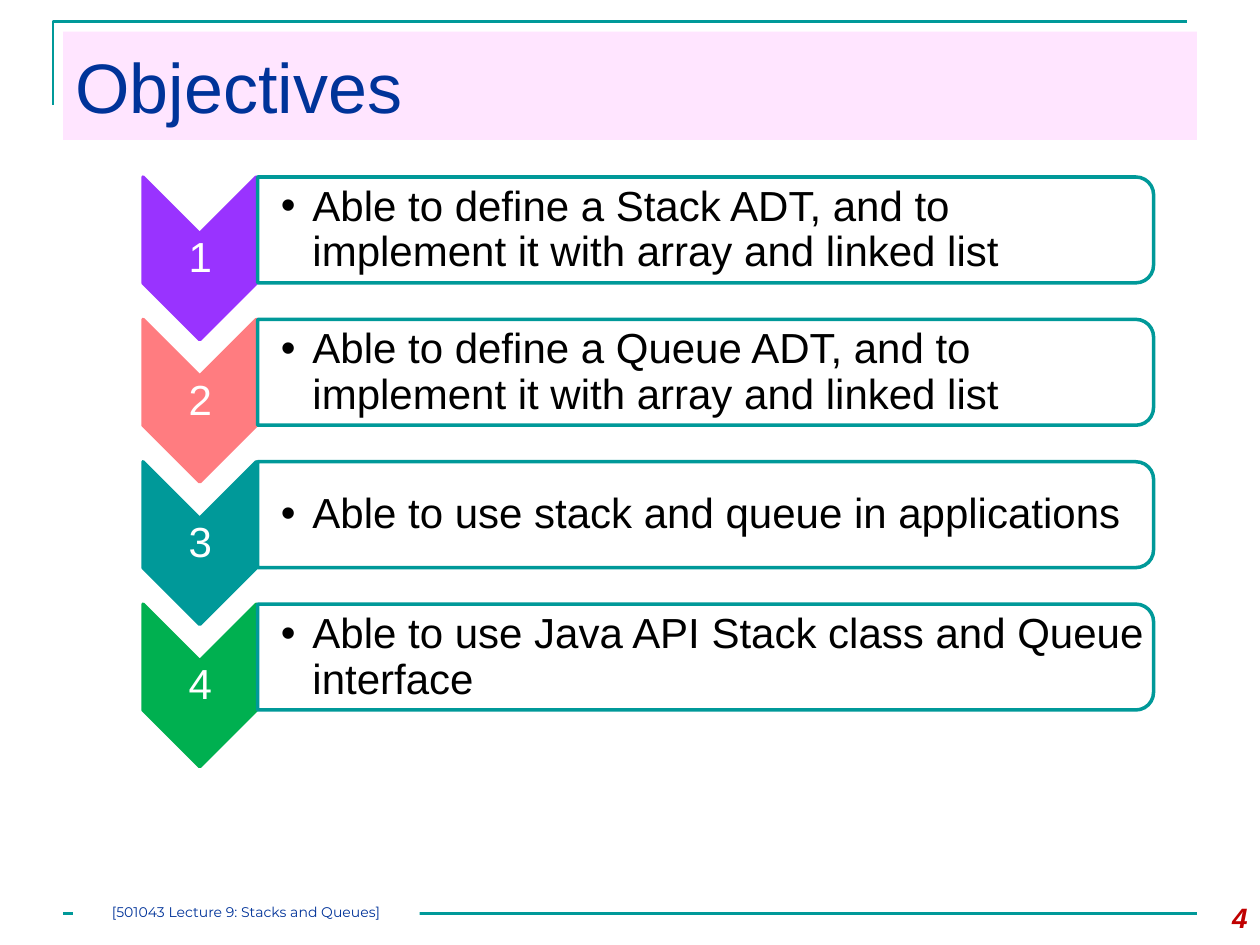
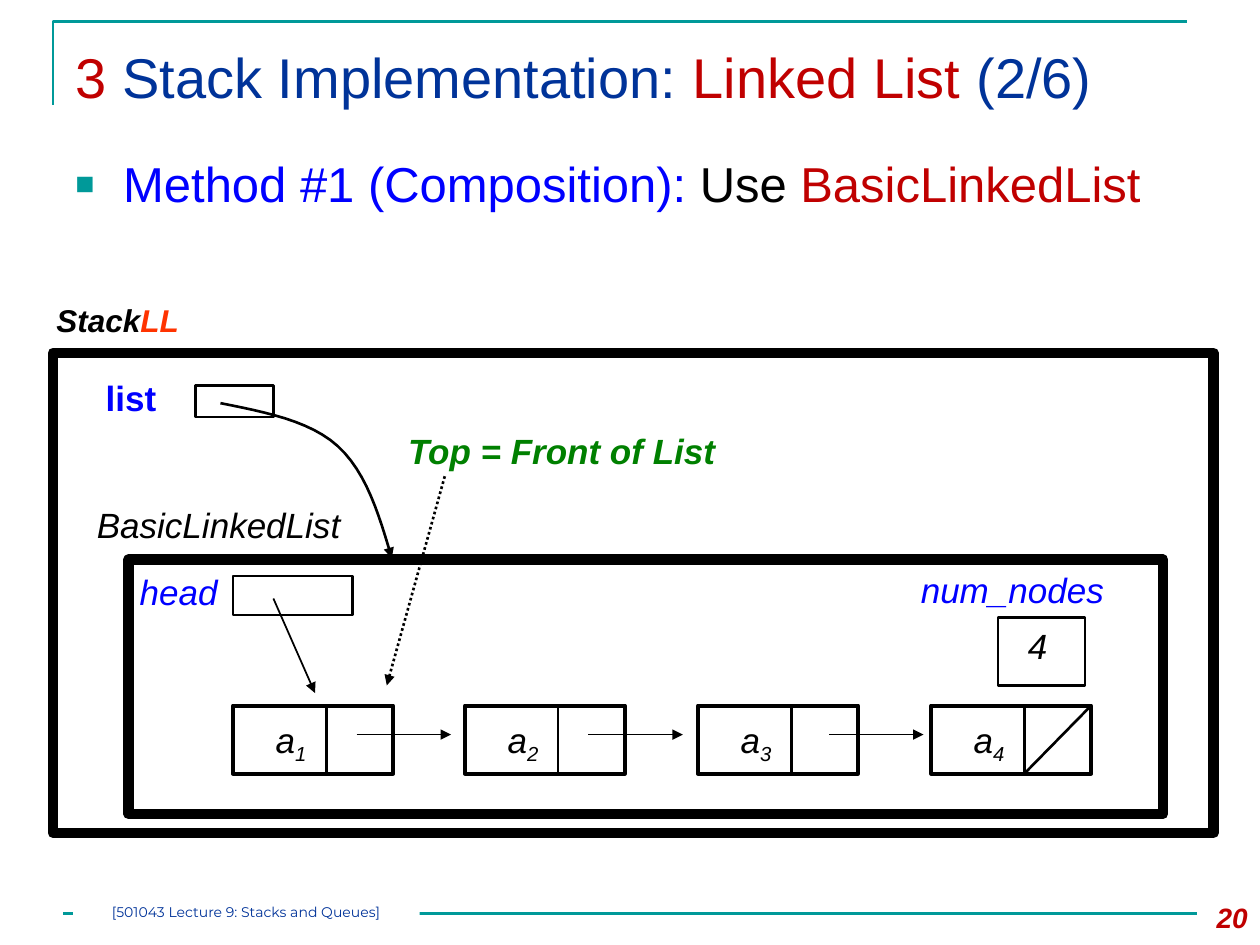
from lxml import etree
from pptx import Presentation, util as u
from pptx.dml.color import RGBColor
from pptx.enum import dml, shapes, text
from pptx.oxml.ns import qn

PX = 9144
FONT = "Arial"
INK = {
    "teal": "009999", "navy": "003399", "red": "C00000", "pink": "FF99FF",
    "white": "FFFFFF", "black": "000000", "blue": "0000FF", "green": "008000",
    "orange": "FF3300", "violet": "9933FF", "coral": "FF7C80", "leaf": "00B050",
}
GOALS = [
    ("violet", "Able to define a Stack ADT, and to implement it with array and linked list"),
    ("coral", "Able to define a Queue ADT, and to implement it with array and linked list"),
    ("teal", "Able to use stack and queue in applications"),
    ("leaf", "Able to use Java API Stack class and Queue interface"),
]
LEFT, MID, RIGHT = text.PP_ALIGN.LEFT, text.PP_ALIGN.CENTER, text.PP_ALIGN.RIGHT


def px(*nums):
    return [round(n * PX) for n in nums]


def hue(name):
    return RGBColor.from_string(INK[name])


def sub(node, tag, **attrs):
    return etree.SubElement(node, qn("a:" + tag), attrs)


def paint(shape, fill=None, line=None, width=1.5):
    shape.shadow.inherit = False
    if fill:
        shape.fill.solid()
        shape.fill.fore_color.rgb = hue(fill)
    else:
        shape.fill.background()
    if line:
        shape.line.color.rgb = hue(line)
        shape.line.width = u.Pt(width)
    else:
        shape.line.fill.background()


def block(slide, box, fill=None, line=None, width=1.5, kind="RECTANGLE", turn=0):
    shape = slide.shapes.add_shape(getattr(shapes.MSO_SHAPE, kind), *px(*box))
    paint(shape, fill, line, width)
    shape.rotation = turn
    return shape


def arrow(shape):
    ln = shape.element.spPr.get_or_add_ln()
    sub(ln, "tailEnd", type="triangle")


def line(slide, ends, color="black", width=1.5, head=False, dots=False):
    link = slide.shapes.add_connector(shapes.MSO_CONNECTOR.STRAIGHT, *px(*ends))
    link.line.color.rgb = hue(color)
    link.line.width = u.Pt(width)
    if dots:
        link.line.dash_style = dml.MSO_LINE.ROUND_DOT
    if head:
        arrow(link)
    sub(link.element.spPr, "effectLst")


def trace(slide, points, color, head=False):
    spots = [px(*point) for point in points]
    pen = slide.shapes.build_freeform(*spots[0], scale=1.0)
    pen.add_line_segments(spots[1:], close=False)
    shape = pen.convert_to_shape()
    paint(shape, None, color)
    if head:
        arrow(shape)


def bezier(a, b, c, d, steps=12):
    for i in range(steps + 1):
        t = i / steps
        s = 1 - t
        yield [s**3 * p + 3 * s * s * t * q + 3 * s * t * t * r + t**3 * v
               for p, q, r, v in zip(a, b, c, d)]


def write(frame, runs, size, align=LEFT, bold=False, slant=False, font=FONT):
    para = frame.paragraphs[0]
    para.alignment = align
    for words, color, *base in runs:
        run = para.add_run()
        run.text = words
        run.font.name = font
        run.font.size = u.Pt(size)
        run.font.bold = bold
        run.font.italic = slant
        run.font.color.rgb = hue(color)
        if base:
            run.font._element.set("baseline", str(base[0] * 1000))
    return para


def inset(frame, left, top, right, bottom):
    frame.margin_left, frame.margin_top, frame.margin_right, frame.margin_bottom = px(
        left, top, right, bottom)


def label(slide, box, runs, size, wrap=True, **style):
    frame = slide.shapes.add_textbox(*px(*box)).text_frame
    frame.word_wrap = wrap
    if not wrap:
        frame.auto_size = text.MSO_AUTO_SIZE.SHAPE_TO_FIT_TEXT
    write(frame, runs, size, **style)
    return frame


def bullet(para, mark, indent, color=None, scale=100):
    props = para._p.get_or_add_pPr()
    props.set("marL", str(indent * PX))
    props.set("indent", str(-indent * PX))
    if color:
        sub(sub(props, "buClr"), "srgbClr", val=INK[color])
    sub(props, "buSzPct", val=str(scale * 1000))
    sub(props, "buFont", typeface=FONT)
    sub(props, "buChar", char=mark)


def page(deck, number, title, size, foot=5):
    slide = deck.slides.add_slide(deck.slide_layouts[5])
    trace(slide, [(42, 83), (42, 17), (942, 17)], "teal")
    line(slide, (50, 725, 950, 725), "teal")
    head = slide.shapes.title
    head.left, head.top, head.width, head.height = px(50, 25, 900, 86)
    frame = head.text_frame
    frame.word_wrap = True
    frame.auto_size = text.MSO_AUTO_SIZE.NONE
    frame.vertical_anchor = text.MSO_ANCHOR.MIDDLE
    inset(frame, 10, 5, 10, foot)
    write(frame, title, size)
    label(slide, (933, 710, 67, 40), [(number, "red")], 16,
          align=RIGHT, bold=True, slant=True)
    strip = block(slide, (58, 717, 275, 17), "white").text_frame
    inset(strip, 0, 0, 0, 0)
    strip.vertical_anchor = text.MSO_ANCHOR.TOP
    write(strip, [("[501043 Lecture 9: Stacks and Queues]", "navy")], 8,
          MID, font="Montserrat")
    return slide


def goal(slide, index, color, words):
    y = 145 + 113 * index
    block(slide, (94, y + 15, 129, 90), color, color, 2, "CHEVRON", 90)
    block(slide, (518, y - 318, 84, 711), "white", "teal", 2,
          "ROUND_2_SAME_RECTANGLE", 90)
    num = label(slide, (114, y + 41, 90, 39), [(str(index + 1), "white")], 24, align=MID)
    body = label(slide, (204, y, 707, 76), [(words, "black")], 24)
    for frame, left in ((num, 2), (body, 19)):
        inset(frame, left, 2, 2, 2)
        frame.vertical_anchor = text.MSO_ANCHOR.MIDDLE
        frame.paragraphs[0].line_spacing = 0.9
    bullet(body.paragraphs[0], "•", 25)


def node(slide, index):
    x = 185 + 554 * index // 3
    block(slide, (x, 560, 127, 54), line="black", width=2.25)
    line(slide, (x + 74, 560, x + 74, 614))
    label(slide, (x + 24, 565, 46, 43), [("a", "black"), (str(index + 1), "black", -25)],
          20, False, slant=True)


def aims(deck):
    slide = page(deck, "4", [("Objectives", "navy")], 40)
    fill = slide.shapes.title.fill
    fill.solid()
    fill.fore_color.rgb = hue("pink")
    tint = slide.shapes.title.element.spPr.find(".//" + qn("a:srgbClr"))
    sub(tint, "alpha", val="25000")
    for index, (color, words) in enumerate(GOALS):
        goal(slide, index, color, words)


def stack(deck):
    slide = page(deck, "20", [("3 ", "red"), ("Stack Implementation: ", "navy"),
                              ("Linked List ", "red"), ("(2/6)", "navy")], 32, foot=20)
    body = label(slide, (50, 117, 900, 75), [("Method #1 (Composition): ", "blue"),
                                             ("Use ", "black"), ("BasicLinkedList", "red")], 28)
    body.paragraphs[0].space_before = u.Pt(3)
    bullet(body.paragraphs[0], "■", 38, "teal", 65)

    for box in ((42, 280, 921, 381), (102, 444, 821, 202)):
        block(slide, box, line="black", width=6)
    for box in ((155, 306, 62, 25), (185, 457, 95, 31), (792, 490, 69, 54)):
        block(slide, box, line="black")

    label(slide, (35, 234, 150, 50), [("Stack", "black"), ("LL", "orange")], 18,
          False, bold=True, slant=True)
    label(slide, (74, 294, 60, 43), [("list", "blue")], 20, False, bold=True)
    label(slide, (314, 336, 266, 44), [("Top = Front of List", "green")], 20,
          False, bold=True, slant=True)
    for box, words, color in (
        ((67, 395, 215, 44), "BasicLinkedList", "black"),
        ((101, 448, 82, 43), "head", "blue"),
        ((721, 446, 180, 44), "num_nodes", "blue"),
        ((806, 491, 39, 44), "4", "black"),
    ):
        label(slide, box, [(words, color)], 20, False, slant=True)

    for index in range(4):
        node(slide, index)
    line(slide, (865, 561, 813, 614))
    for x in (283, 467, 658):
        line(slide, (x, 583, x + 75, 583), width=1, head=True)
    line(slide, (217, 475, 250, 550), width=1, head=True)
    line(slide, (353, 378, 307, 544), head=True, dots=True)
    first = bezier((175, 320), (210, 327), (246, 334), (268, 354))
    last = bezier((268, 354), (291, 375), (301, 409), (311, 443))
    trace(slide, [*first, *list(last)[1:]], "black", head=True)


def main():
    deck = Presentation()
    deck.slide_width, deck.slide_height = px(1000, 750)
    aims(deck)
    stack(deck)
    deck.save("out.pptx")


if __name__ == "__main__":
    main()
